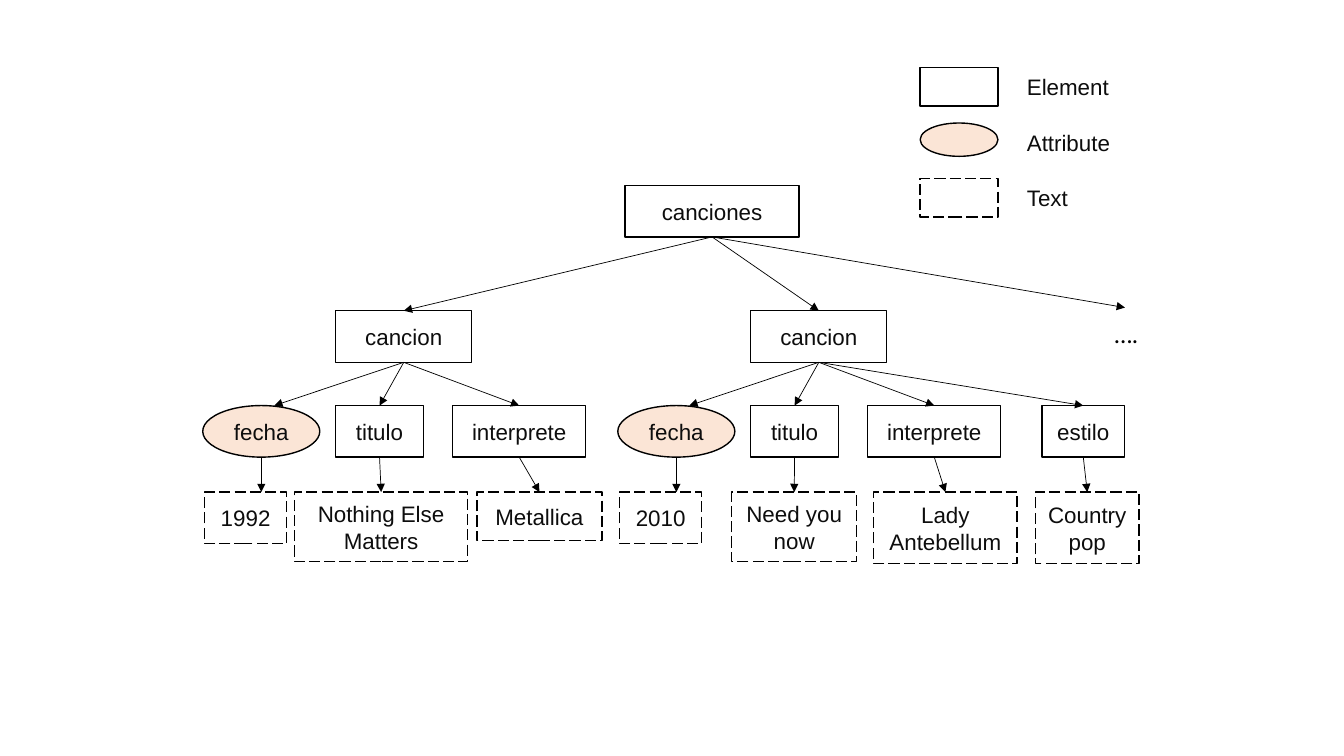
from lxml import etree
from pptx import Presentation
from pptx.dml.color import RGBColor
from pptx.enum.dml import MSO_LINE_DASH_STYLE as Dash
from pptx.enum.shapes import MSO_CONNECTOR as Connector, MSO_SHAPE as Shape
from pptx.enum.text import MSO_ANCHOR as Anchor, PP_ALIGN as Align
from pptx.oxml.ns import qn
from pptx.util import Cm, Pt

BLACK = RGBColor(0x00, 0x00, 0x00)
INK = RGBColor(0x0D, 0x0D, 0x0D)
WHITE = RGBColor(0xFF, 0xFF, 0xFF)
PEACH = RGBColor(0xFB, 0xE5, 0xD6)

ELEMENT = (Shape.RECTANGLE, WHITE, Dash.SOLID)
ATTRIBUTE = (Shape.OVAL, PEACH, Dash.SOLID)
TEXT = (Shape.RECTANGLE, WHITE, Dash.LONG_DASH)

ROW_HEIGHT = 1.3
FIELD_DROP = 2.39
VALUE_DROP = 4.57
SONG_INDENT = 3.35
DATE_TIP = 1.8

FIELDS = [
    ("fecha", ATTRIBUTE, 0, 2.95),
    ("titulo", ELEMENT, SONG_INDENT, 2.21),
    ("interprete", ELEMENT, 6.3, 3.35),
    ("estilo", ELEMENT, 10.69, 2.08),
]
FIRST_SONG = [
    ("1992", 0.05, 2.06, 1.3),
    ("Nothing Else Matters", 2.31, 4.37, 1.75),
    ("Metallica", 6.91, 3.15, 1.22),
]
SECOND_SONG = [
    ("2010", 0.05, 2.06, 1.3),
    ("Need you now", 2.87, 3.15, 1.75),
    ("Lady Antebellum", 6.45, 3.61, 1.8),
    ("Country pop", 10.52, 2.62, 1.8),
]


def write(shape, words, align, size=16, font="Arial", color=INK):
    """Put one formatted paragraph into a shape."""
    shape.text_frame.text = words
    paragraph = shape.text_frame.paragraphs[0]
    paragraph.alignment = align
    for run in paragraph.runs:
        run.font.size = Pt(size)
        run.font.name = font
        run.font.color.rgb = color


def add_node(slide, kind, left, top, width, height, words=""):
    """Draw a tree node of the given kind, with lengths in centimetres."""
    preset, fill, dash = kind
    node = slide.shapes.add_shape(preset, Cm(left), Cm(top), Cm(width), Cm(height))
    node.shadow.inherit = False
    node.fill.solid()
    node.fill.fore_color.rgb = fill
    node.line.color.rgb = BLACK
    node.line.width = Pt(1)
    node.line.dash_style = dash
    node.text_frame.vertical_anchor = Anchor.MIDDLE
    if words:
        write(node, words, Align.CENTER)
    return node


def add_arrow(slide, x1, y1, x2, y2):
    """Draw a thin arrow between two points."""
    arrow = slide.shapes.add_connector(Connector.STRAIGHT, x1, y1, x2, y2)
    arrow.line.color.rgb = BLACK
    arrow.line.width = Pt(0.5)
    etree.SubElement(arrow.line._get_or_add_ln(), qn("a:tailEnd"), type="triangle")
    etree.SubElement(arrow._element.spPr, qn("a:effectLst"))
    return arrow


def link(slide, parent, child):
    """Glue an arrow from the bottom of one box to the top of another."""
    arrow = add_arrow(slide, 0, 0, 0, 0)
    arrow.begin_connect(parent, 2)
    arrow.end_connect(child, 0)


def add_song(slide, left, top, values):
    """Draw a song with its fields and their values, and return its box."""
    song = add_node(slide, ELEMENT, left + SONG_INDENT, top, 3.43, ROW_HEIGHT, "cancion")
    for (name, kind, field_x, field_width), (words, x, width, height) in zip(FIELDS, values):
        field = add_node(slide, kind, left + field_x, top + FIELD_DROP,
                         field_width, ROW_HEIGHT, name)
        value = add_node(slide, TEXT, left + x, top + VALUE_DROP, width, height, words)
        if kind is ATTRIBUTE:
            middle = field.left + field.width // 2
            add_arrow(slide, song.left + song.width // 2, song.top + song.height,
                      Cm(left + DATE_TIP), field.top)
            add_arrow(slide, middle, field.top + field.height, middle, value.top)
        else:
            link(slide, song, field)
            link(slide, field, value)
    return song


def add_tree(slide, left, top):
    """Draw the whole tree from the left edge of its songs and the top of its root."""
    root = add_node(slide, ELEMENT, left + 10.64, top, 4.39, ROW_HEIGHT, "canciones")
    song_top = top + 3.16
    for song_left, values in ((left, FIRST_SONG), (left + 10.46, SECOND_SONG)):
        link(slide, root, add_song(slide, song_left, song_top, values))
    add_arrow(slide, root.left + root.width // 2, root.top + root.height,
              Cm(left + 23.24), Cm(song_top - 0.08))
    more = slide.shapes.add_textbox(Cm(left + 22.73), Cm(song_top + 0.07), Cm(1.12), Cm(1.02))
    more.text_frame.word_wrap = False
    write(more, "….", Align.LEFT, 18, "Calibri", BLACK)


def add_legend(slide, left, top):
    """Draw the key to the three kinds of node."""
    entries = (("Element", ELEMENT, 0.97), ("Attribute", ATTRIBUTE, 0.84), ("Text", TEXT, 0.97))
    for row, (words, kind, height) in enumerate(entries):
        row_top = top + 1.4 * row
        add_node(slide, kind, left, row_top, 1.96, height)
        label = slide.shapes.add_textbox(Cm(left + 2.44), Cm(row_top), Cm(3.99), Cm(0.97))
        label.text_frame.word_wrap = True
        label.text_frame.vertical_anchor = Anchor.MIDDLE
        write(label, words, Align.LEFT)


def main():
    """Build the slide and save it."""
    deck = Presentation()
    deck.slide_width, deck.slide_height = Cm(33.87), Cm(19.05)
    slide = deck.slides.add_slide(deck.slide_layouts[6])
    add_tree(slide, 5.11, 4.67)
    add_legend(slide, 23.19, 1.7)
    deck.save("out.pptx")


if __name__ == "__main__":
    main()
